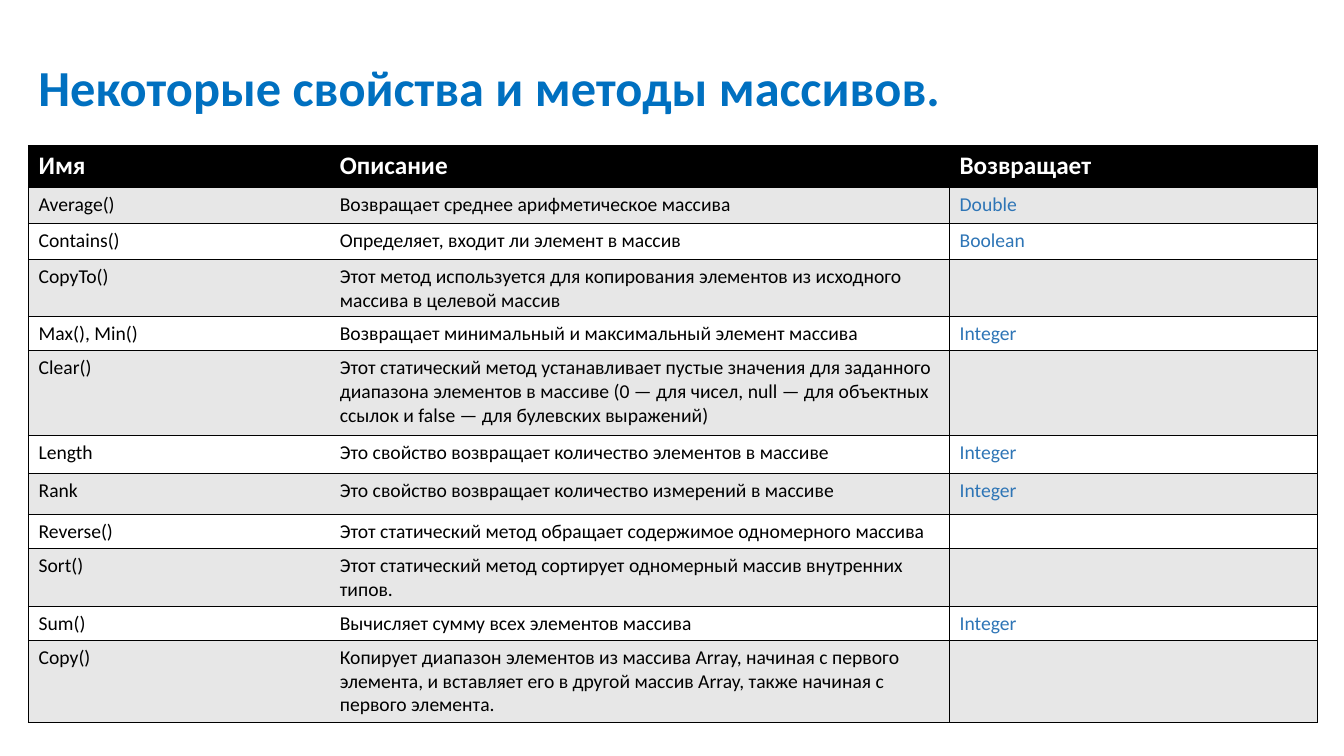
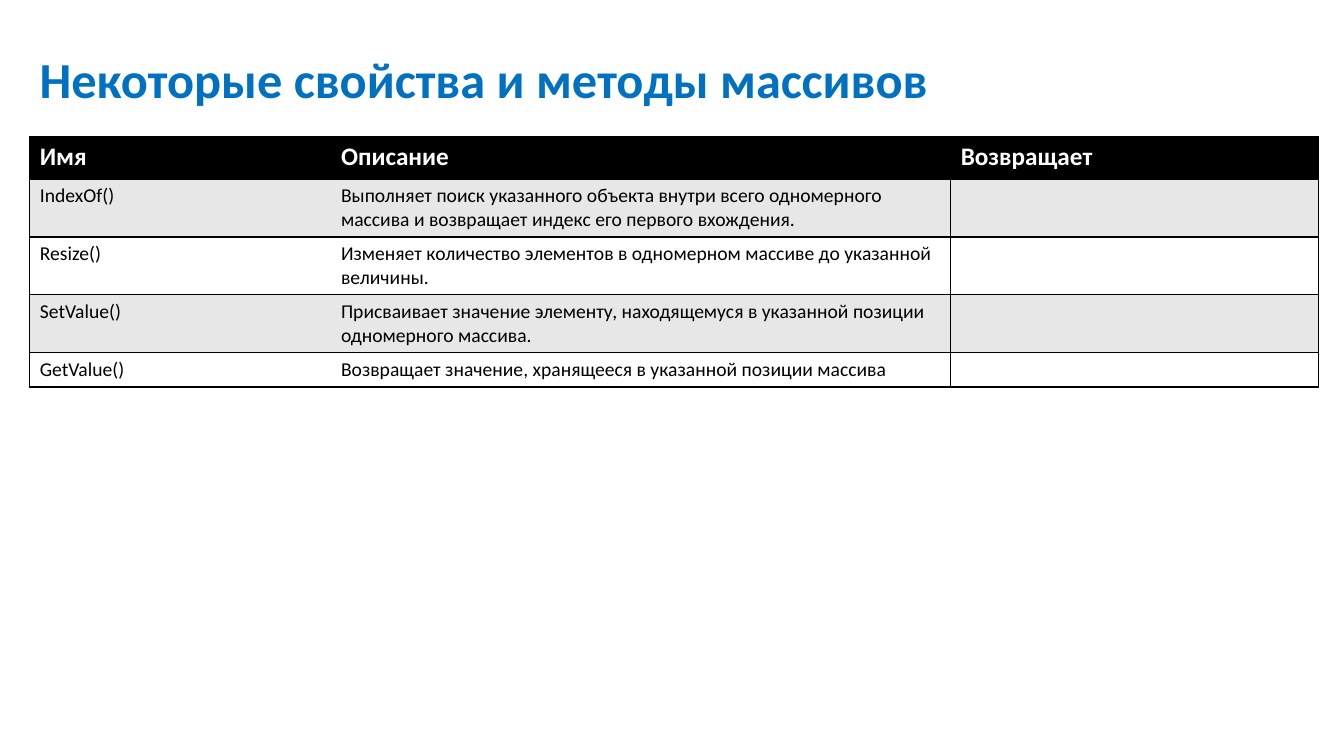
"""Two slides with tables of array properties and methods."""
from lxml import etree
from pptx import Presentation
from pptx import util as u
from pptx.dml.color import RGBColor
from pptx.enum import text as t
from pptx.oxml.ns import qn

BLUE = RGBColor(0x00, 0x70, 0xC0)
TYPE_BLUE = RGBColor(0x2E, 0x75, 0xB6)
BLACK = RGBColor(0, 0, 0)
WHITE = RGBColor(0xFF, 0xFF, 0xFF)
GREY = RGBColor(0xE7, 0xE7, 0xE7)
FONT = "Calibri"
COLUMN_WIDTHS = (7.59, 15.62, 9.27)
COLUMN_BORDERS = ("LTB", "RTB", "LRTB")
HEADER = (1.06, "Имя", "Описание", "Возвращает")
TITLE_HEIGHT = 1.83
TABLE_OFFSET = 2.3

SLIDES = [
    ("Некоторые свойства и методы массивов.", 0.72, 1.37, [
        (0.9, "Average()", "Возвращает среднее арифметическое массива", "Double"),
        (0.91, "Contains()", "Определяет, входит ли элемент в массив", "Boolean"),
        (1.44, "CopyTo()", "Этот метод используется для копирования элементов из исходного\n"
         "массива в целевой массив", ""),
        (0.86, "Max(), Min()", "Возвращает минимальный и максимальный элемент массива", "Integer"),
        (2.14, "Clear()", "Этот статический метод устанавливает пустые значения для заданного "
         "диапазона элементов в массиве (0 — для чисел, null — для объектных ссылок "
         "и false — для булевских выражений)", ""),
        (0.96, "Length", "Это свойство возвращает количество элементов в массиве", "Integer"),
        (1.02, "Rank", "Это свойство возвращает количество измерений в массиве", "Integer"),
        (0.86, "Reverse()", "Этот статический метод обращает содержимое одномерного массива", ""),
        (1.46, "Sort()", "Этот статический метод сортирует одномерный массив внутренних типов.", ""),
        (0.86, "Sum()", "Вычисляет сумму всех элементов массива", "Integer"),
        (2.06, "Copy()", "Копирует диапазон элементов из массива\u00a0Array, начиная с первого "
         "элемента, и вставляет его в другой массив\u00a0Array, также начиная с "
         "первого элемента.", ""),
    ]),
    ("Некоторые свойства и методы массивов", 0.75, 1.15, [
        (1.46, "IndexOf()", "Выполняет поиск указанного объекта внутри всего одномерного "
         "массива и возвращает индекс его первого вхождения.", ""),
        (1.46, "Resize()", "Изменяет количество элементов в одномерном массиве до указанной "
         "величины.", ""),
        (1.46, "SetValue()", "Присваивает значение элементу, находящемуся в указанной позиции "
         "одномерного массива.", ""),
        (0.86, "GetValue()", "Возвращает значение, хранящееся в указанной позиции массива", ""),
    ]),
]


def write(frame, content, size=14, color=BLACK, bold=False, spacing=None):
    frame.word_wrap = True
    for index, line in enumerate(content.split("\n")):
        paragraph = frame.add_paragraph() if index else frame.paragraphs[0]
        if spacing:
            paragraph.line_spacing = spacing
        if line:
            run = paragraph.add_run()
            run.text = line
            run.font.name, run.font.size = FONT, u.Pt(size)
            run.font.bold, run.font.color.rgb = bold, color
        else:
            etree.SubElement(paragraph._p, qn("a:endParaRPr"), sz=str(size * 100))


def set_borders(cell, sides):
    properties = cell._tc.get_or_add_tcPr()
    for side in "LRTB":
        line = etree.SubElement(properties, qn(f"a:ln{side}"), w=str(u.Pt(1)))
        if side in sides:
            fill = etree.SubElement(line, qn("a:solidFill"))
            etree.SubElement(fill, qn("a:srgbClr"), val=str(BLACK))
        else:
            etree.SubElement(line, qn("a:noFill"))


presentation = Presentation()
presentation.slide_width, presentation.slide_height = u.Cm(33.87), u.Cm(19.05)

for title, left, top, methods in SLIDES:
    slide = presentation.slides.add_slide(presentation.slide_layouts[6])
    title_box = slide.shapes.add_textbox(u.Cm(left), u.Cm(top), u.Cm(27.18), u.Cm(TITLE_HEIGHT))
    title_box.text_frame.vertical_anchor = t.MSO_ANCHOR.MIDDLE
    write(title_box.text_frame, title, size=36, color=BLUE, bold=True, spacing=0.9)

    rows = [HEADER] + methods
    table = slide.shapes.add_table(
        len(rows), len(COLUMN_WIDTHS), u.Cm(left), u.Cm(top + TABLE_OFFSET),
        u.Cm(sum(COLUMN_WIDTHS)), u.Cm(sum(row[0] for row in rows))).table
    table.horz_banding = False
    for column, width in zip(table.columns, COLUMN_WIDTHS):
        column.width = u.Cm(width)
    for row_index, (height, *values) in enumerate(rows):
        table.rows[row_index].height = u.Cm(height)
        for column_index, value in enumerate(values):
            cell = table.cell(row_index, column_index)
            set_borders(cell, COLUMN_BORDERS[column_index])
            cell.fill.solid()
            if row_index == 0:
                cell.fill.fore_color.rgb = BLACK
                write(cell.text_frame, value, size=18, color=WHITE, bold=True)
            else:
                cell.fill.fore_color.rgb = GREY if row_index % 2 else WHITE
                write(cell.text_frame, value, color=TYPE_BLUE if column_index == 2 else BLACK)

presentation.save("out.pptx")
